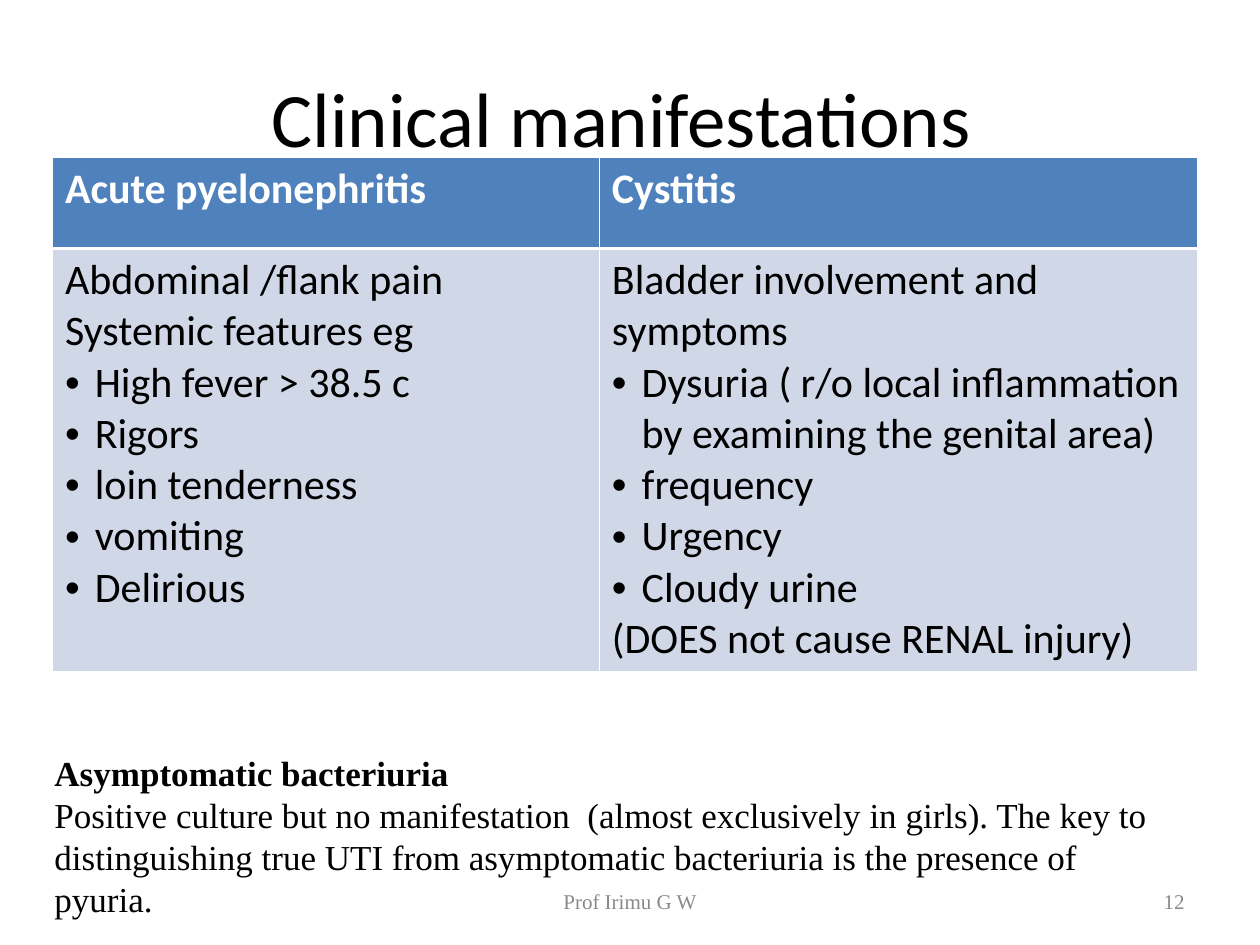
import pptx
import pptx.dml.color
import pptx.enum.text
import pptx.oxml
import pptx.oxml.ns
import pptx.util

Pt = pptx.util.Pt
RGBColor = pptx.dml.color.RGBColor
ALIGN = pptx.enum.text.PP_ALIGN
ANCHOR = pptx.enum.text.MSO_ANCHOR
AUTO_SIZE = pptx.enum.text.MSO_AUTO_SIZE
NS = pptx.oxml.ns.nsdecls("a")

BLACK = RGBColor(0x00, 0x00, 0x00)
WHITE = RGBColor(0xFF, 0xFF, 0xFF)
GREY = RGBColor(0x89, 0x89, 0x89)
HEADER_BLUE = RGBColor(0x4F, 0x81, 0xBD)
BODY_BLUE = RGBColor(0xD0, 0xD8, 0xE8)

TITLE_FONT = {"name": "Calibri", "size": Pt(44)}
HEADER_FONT = {"name": "Calibri", "size": Pt(24), "bold": True}
BODY_FONT = {"name": "Calibri", "size": Pt(24), "bold": False}
NOTE_FONT = {"name": "Times New Roman", "size": Pt(20)}
FOOTER_FONT = {"name": "Times New Roman", "size": Pt(12)}

BULLET_INDENT = Pt(17)
THIN, THICK = Pt(0.45), Pt(1.47)

# Each condition: heading, then (text, is_bullet) lines
CONDITIONS = [
    ("Acute pyelonephritis", [
        ("Abdominal /flank pain", False),
        ("Systemic features eg", False),
        ("High fever > 38.5 c", True),
        ("Rigors", True),
        ("loin tenderness", True),
        ("vomiting", True),
        ("Delirious", True),
    ]),
    ("Cystitis", [
        ("Bladder involvement and symptoms", False),
        ("Dysuria ( r/o local inflammation by examining the genital area)", True),
        ("frequency", True),
        ("Urgency", True),
        ("Cloudy urine", True),
        ("(DOES not cause RENAL injury)", False),
    ]),
]


def set_font(font, color, values):
    font.color.rgb = color
    for attribute, value in values.items():
        setattr(font, attribute, value)


def add_bullet(paragraph):
    properties = paragraph._p.get_or_add_pPr()
    properties.set("marL", str(BULLET_INDENT))
    properties.set("indent", str(-BULLET_INDENT))
    for tag in ('buFont %s typeface="Arial"', 'buChar %s char="•"'):
        properties.append(pptx.oxml.parse_xml(f"<a:{tag % NS}/>"))


def write_lines(frame, lines, color, values):
    """Fill a frame with (text, is_bullet) lines and return its paragraphs."""
    for index, (text, is_bullet) in enumerate(lines):
        paragraph = frame.add_paragraph() if index else frame.paragraphs[0]
        if is_bullet:
            add_bullet(paragraph)
        run = paragraph.add_run()
        run.text = text
        set_font(run.font, color, values)
    return frame.paragraphs


def set_borders(cell, top, bottom):
    properties = cell._tc.get_or_add_tcPr()
    widths = {"lnL": THIN, "lnR": THIN, "lnT": top, "lnB": bottom}
    for position, (side, width) in enumerate(widths.items()):
        properties.insert(position, pptx.oxml.parse_xml(
            f'<a:{side} {NS} w="{int(width)}"><a:solidFill>'
            f'<a:srgbClr val="{WHITE}"/></a:solidFill></a:{side}>'))


def place_title(slide, left, top, width, height):
    title = slide.shapes.title
    box = {"left": left, "top": top, "width": width, "height": height}
    for attribute, value in box.items():
        setattr(title, attribute, value)
    frame = title.text_frame
    frame.vertical_anchor = ANCHOR.MIDDLE
    heading, = write_lines(frame, [("Clinical manifestations ", False)], BLACK, TITLE_FONT)
    heading.alignment = ALIGN.CENTER


def place_conditions(slide, left, top, width, height):
    header_height, first_width = Pt(52), Pt(312.5)
    table = slide.shapes.add_table(2, len(CONDITIONS), left, top, width, height).table
    table.rows[0].height = header_height
    table.rows[1].height = height - header_height
    table.columns[0].width = first_width
    table.columns[1].width = width - first_width
    for column, (condition, features) in enumerate(CONDITIONS):
        rows = [
            ([(condition, False)], HEADER_BLUE, WHITE, HEADER_FONT, THIN, THICK),
            (features, BODY_BLUE, BLACK, BODY_FONT, THICK, THIN),
        ]
        for row, (lines, fill, color, values, above, below) in enumerate(rows):
            cell = table.cell(row, column)
            cell.fill.solid()
            cell.fill.fore_color.rgb = fill
            set_borders(cell, above, below)
            write_lines(cell.text_frame, lines, color, values)


def place_bacteriuria_note(slide, left, top, width, height):
    frame = slide.shapes.add_textbox(left, top, width, height).text_frame
    frame.word_wrap = True
    frame.auto_size = AUTO_SIZE.SHAPE_TO_FIT_TEXT
    paragraphs = write_lines(frame, [
        ("Asymptomatic bacteriuria", False),
        ("Positive culture but no manifestation  (almost exclusively in girls). "
         "The key to distinguishing true UTI from asymptomatic bacteriuria is "
         "the presence of pyuria.", False),
    ], BLACK, NOTE_FONT)
    paragraphs[0].runs[0].font.bold = True
    for paragraph in paragraphs:
        paragraph.line_spacing = Pt(24)


def place_footer(slide, left, top, width, height):
    """Put the author in the middle and the page number at the right end."""
    author_width, number_width = Pt(228), Pt(168)
    parts = [
        ("Prof Irimu G W", left, author_width, ALIGN.CENTER),
        ("12", left + width - number_width, number_width, ALIGN.RIGHT),
    ]
    for text, part_left, part_width, alignment in parts:
        frame = slide.shapes.add_textbox(part_left, top, part_width, height).text_frame
        frame.word_wrap = True
        frame.vertical_anchor = ANCHOR.MIDDLE
        paragraph, = write_lines(frame, [(text, False)], GREY, FOOTER_FONT)
        paragraph.alignment = alignment


def main():
    presentation = pptx.Presentation()
    presentation.slide_width, presentation.slide_height = Pt(720), Pt(540)
    slide = presentation.slides.add_slide(presentation.slide_layouts[5])
    place_title(slide, Pt(36), Pt(21.6), Pt(648), Pt(90))
    place_conditions(slide, Pt(30), Pt(90), Pt(654), Pt(289.5))
    place_bacteriuria_note(slide, Pt(24), Pt(426), Pt(660), Pt(161))
    place_footer(slide, Pt(246), Pt(500.5), Pt(438), Pt(28.75))
    presentation.save("out.pptx")


if __name__ == "__main__":
    main()
